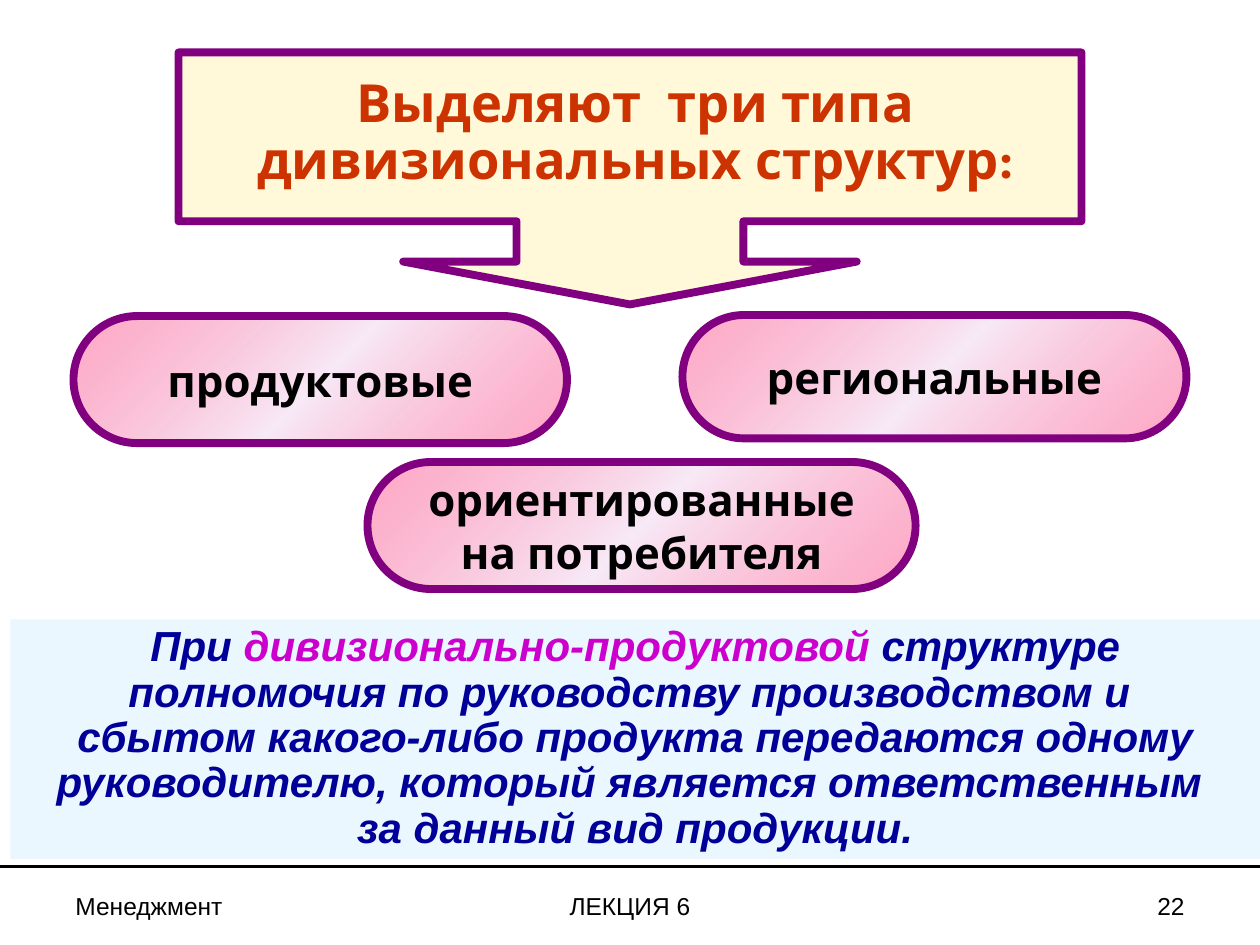
import pptx
import pptx.util
from lxml import etree
from pptx.dml.color import RGBColor
from pptx.enum.shapes import MSO_CONNECTOR, MSO_SHAPE
from pptx.enum.text import MSO_ANCHOR, MSO_AUTO_SIZE, PP_ALIGN
from pptx.oxml.ns import qn

HUES = {
    "ink": "000000", "edge": "800080", "cream": "FFF9D9", "rust": "CC3300",
    "pink": "FF85AE", "pale": "F8EAF7", "sky": "EBF7FF", "navy": "000099",
    "plum": "CC00CC",
}
COLS, ROWS = 120, 90


def hue(name):
    return RGBColor.from_string(HUES[name])


class Deck:
    """Holds the style and the current slide; boxes are (col, row, cols, rows)."""

    fonts = {
        "head": {"name": "Karla", "size": pptx.util.Pt(30), "bold": True},
        "pill": {"name": "Karla", "size": pptx.util.Pt(25), "bold": True},
        "body": {"name": "Arial", "size": pptx.util.Pt(24), "bold": True, "italic": True},
        "foot": {"name": "Arial", "size": pptx.util.Pt(14), "bold": False},
    }

    def __init__(self):
        self.prs = pptx.Presentation()
        self.prs.slide_width = pptx.util.Inches(10)
        self.prs.slide_height = pptx.util.Inches(7.5)
        self.slide = self.prs.slides.add_slide(self.prs.slide_layouts[5])
        self.shapes = self.slide.shapes

    def place(self, box):
        wide, high = self.prs.slide_width / COLS, self.prs.slide_height / ROWS
        return [round(val * unit) for val, unit in zip(box, (wide, high, wide, high))]

    def label(self, shape, lines, font, align=PP_ALIGN.CENTER, space=1.0,
              anchor=MSO_ANCHOR.TOP, wrap=True):
        """Fill a shape; each line is a list of (text, colour) runs, \\v breaks a line."""
        frame = shape.text_frame
        frame.word_wrap = wrap
        frame.auto_size = MSO_AUTO_SIZE.NONE
        frame.vertical_anchor = anchor
        for num, runs in enumerate(lines):
            para = frame.add_paragraph() if num else frame.paragraphs[0]
            para.alignment, para.line_spacing = align, space
            for text, color in runs:
                for part, piece in enumerate(text.split("\v")):
                    if part:
                        para.add_line_break()
                    run = para.add_run()
                    run.text = piece
                    for key, val in self.fonts[font].items():
                        setattr(run.font, key, val)
                    run.font.color.rgb = hue(color)

    def shape(self, kind, box, fill, edge=None, adjust=()):
        shape = self.shapes.add_shape(kind, *self.place(box))
        shape.shadow.inherit = False
        for num, val in enumerate(adjust):
            shape.adjustments[num] = val
        shape.fill.solid()
        shape.fill.fore_color.rgb = hue(fill)
        if edge:
            shape.line.color.rgb = hue(edge)
            shape.line.width = pptx.util.Pt(4.5)
        else:
            shape.line.fill.background()
        return shape

    def shade(self, shape):
        """Give a shape the diagonal pink, pale, pink gradient."""
        shape.fill.gradient()
        grad = shape._element.spPr.find(qn("a:gradFill"))
        stops = grad.find(qn("a:gsLst"))
        for stop in list(stops):
            stops.remove(stop)
        for pos, color, alpha in ((0, "pink", 70), (50, "pale", 100), (100, "pink", 70)):
            stop = etree.SubElement(stops, qn("a:gs"), pos=str(pos * 1000))
            tint = etree.SubElement(stop, qn("a:srgbClr"), val=HUES[color])
            if alpha < 100:
                etree.SubElement(tint, qn("a:alpha"), val=str(alpha * 1000))
        grad.find(qn("a:lin")).set("ang", str(225 * 60000))

    def pill(self, box, *lines):
        shape = self.shape(MSO_SHAPE.ROUNDED_RECTANGLE, box, "pale", "edge", (0.5,))
        self.shade(shape)
        self.label(shape, [[(line, "ink")] for line in lines], "pill",
                   anchor=MSO_ANCHOR.MIDDLE, wrap=False)

    def title(self, box, text):
        """Move the title placeholder to the box and in front of earlier shapes."""
        title = self.shapes.title
        title.left, title.top, title.width, title.height = self.place(box)
        self.label(title, [[(text, "rust")]], "head", space=0.9)
        self.shapes._spTree.append(title._element)

    def panel(self, box, runs):
        shape = self.shape(MSO_SHAPE.RECTANGLE, box, "sky")
        self.label(shape, [runs], "body", space=0.9)

    def note(self, col, cols, text, align):
        box = self.shapes.add_textbox(*self.place((col, 84.25, cols, 4)))
        self.label(box, [[(text, "ink")]], "foot", align)

    def rule(self, row):
        left, top, wide, _ = self.place((0, row, COLS, 0))
        line = self.shapes.add_connector(MSO_CONNECTOR.STRAIGHT, left, top, wide, top)
        line.line.color.rgb = hue("ink")
        line.line.width = pptx.util.Pt(1.5)
        etree.SubElement(line._element.spPr, qn("a:effectLst"))


def main():
    deck = Deck()
    deck.rule(82.5)
    deck.pill((7, 30.1, 47, 12.1), "продуктовые")
    deck.pill((35, 44, 52.2, 12.1), "ориентированные", "на потребителя")
    deck.pill((65, 30, 48, 11.75), "региональные")
    deck.shape(MSO_SHAPE.DOWN_ARROW_CALLOUT, (17, 5, 86, 24), "cream", "edge",
               (0.9, 0.9, 0.17, 0.67))
    deck.title((15, 6.75, 91, 12), "Выделяют  три типа дивизиональных структур:")
    deck.panel((1, 59, 119, 22.8), [
        ("При ", "navy"),
        ("дивизионально-продуктовой", "plum"),
        (" структуре полномочия по руководству производством и \v"
         "сбытом какого-либо продукта передаются одному руководителю, "
         "который является ответственным \vза данный вид продукции.", "navy"),
    ])
    deck.note(41, 38, "ЛЕКЦИЯ 6", PP_ALIGN.CENTER)
    deck.note(86, 28, "22", PP_ALIGN.RIGHT)
    deck.note(6, 28, "Менеджмент", PP_ALIGN.LEFT)
    deck.prs.save("out.pptx")


if __name__ == "__main__":
    main()
